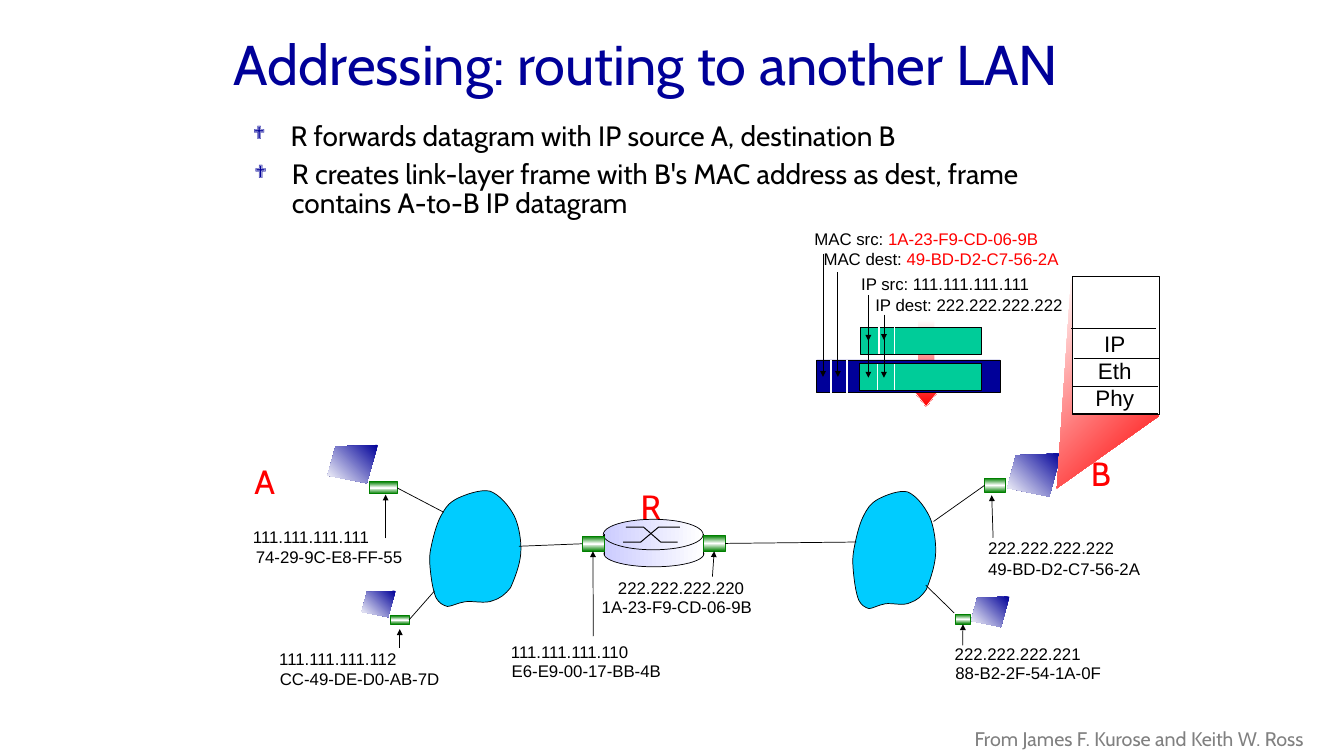
"""Build the slide on routing a datagram to another LAN."""
from collections.abc import Sequence
from dataclasses import dataclass
from typing import NamedTuple, Optional, Union

from lxml.etree import SubElement
from pptx import Presentation
from pptx.dml.color import RGBColor
from pptx.enum.shapes import MSO_CONNECTOR as Link, MSO_SHAPE as Preset
from pptx.enum.text import MSO_ANCHOR as Anchor, PP_ALIGN as Align
from pptx.oxml.ns import qn
from pptx.shapes.autoshape import Shape
from pptx.shapes.shapetree import SlideShapes
from pptx.util import Cm, Length, Pt

BLACK, WHITE, RED, NAVY = "000000", "FFFFFF", "FF0000", "000099"
GREEN, TEAL, SKY, LILAC, GREY = "008000", "00CC99", "00CCFF", "CCCCFF", "808080"


class Point(NamedTuple):
    x: float
    y: float


class Box(NamedTuple):
    x: float
    y: float
    w: float
    h: float


class Gradient(NamedTuple):
    stops: tuple[str, ...]
    angle: int


class Port(NamedTuple):
    card: Shape
    side: int


@dataclass
class Wire:
    start: Union[Point, Port]
    end: Union[Point, Port]
    arrow: bool = False
    color: str = BLACK
    width: float = 0.75


@dataclass
class Address:
    text: str
    box: Box


Fill = Union[str, Gradient, None]
TOP, LEFT, BOTTOM, RIGHT = range(4)
SCREEN = [(1, 0), (0.16, 0.04), (0, 0.8), (0.78, 1)]
CLOUD = [
    (0.31, 0.08), (0.21, 0.12), (0.18, 0.16), (0.13, 0.23), (0.08, 0.3), (0.04, 0.43),
    (0.02, 0.51), (0, 0.59), (0.01, 0.65), (0.02, 0.72), (0.03, 0.79), (0.05, 0.88),
    (0.08, 0.93), (0.11, 0.97), (0.15, 0.99), (0.2, 1), (0.24, 1), (0.31, 0.97),
    (0.39, 0.96), (0.47, 0.95), (0.61, 0.98), (0.69, 0.95), (0.77, 0.93), (0.82, 0.9),
    (0.88, 0.84), (0.92, 0.77), (0.98, 0.65), (0.99, 0.55), (1, 0.45), (0.97, 0.31),
    (0.92, 0.23), (0.86, 0.14), (0.76, 0.05), (0.66, 0.02), (0.56, 0), (0.39, 0.05),
    (0.31, 0.08)]
ADDRESSES = [
    Address("222.222.222.220", Box(8.62, 8.1, 2, 0.39)),
    Address("1A-23-F9-CD-06-9B", Box(8.39, 8.37, 2.34, 0.39)),
    Address("111.111.111.110", Box(7.11, 9.01, 1.88, 0.39)),
    Address("E6-E9-00-17-BB-4B", Box(7.12, 9.28, 2.33, 0.39)),
    Address("111.111.111.112", Box(3.84, 9.11, 1.88, 0.39)),
    Address("CC-49-DE-D0-AB-7D", Box(3.85, 9.39, 2.48, 0.39)),
    Address("111.111.111.111", Box(3.47, 7.38, 1.86, 0.39)),
    Address("74-29-9C-E8-FF-55", Box(3.51, 7.66, 2.29, 0.39)),
    Address("222.222.222.222", Box(13.84, 7.54, 2, 0.39)),
    Address("49-BD-D2-C7-56-2A", Box(13.84, 7.83, 2.37, 0.39)),
    Address("222.222.222.221", Box(13.37, 9.04, 2, 0.39)),
    Address("88-B2-2F-54-1A-0F", Box(13.38, 9.31, 2.27, 0.39))]


def inch(value: float) -> Length:
    return Cm(value * 2.54)


def color_of(code: str) -> RGBColor:
    return RGBColor.from_string(code)


def paint(shape: Shape, fill: Fill, line: Optional[str], width: float) -> Shape:
    shape.shadow.inherit = False
    shape.fill.background()
    if isinstance(fill, str):
        shape.fill.solid()
        shape.fill.fore_color.rgb = color_of(fill)
    elif fill:
        blank = shape._element.spPr.find(qn("a:noFill"))
        blank.tag = qn("a:gradFill")
        blank.set("rotWithShape", "1")
        stops = SubElement(blank, qn("a:gsLst"))
        for index, code in enumerate(fill.stops):
            stop = SubElement(stops, qn("a:gs"), pos=str(index * 100000 // (len(fill.stops) - 1)))
            SubElement(stop, qn("a:srgbClr"), val=code)
        SubElement(blank, qn("a:lin"), ang=str(fill.angle * 60000), scaled="0")
    if line:
        shape.line.color.rgb = color_of(line)
        shape.line.width = Pt(width)
    else:
        shape.line.fill.background()
    return shape


def block(shapes: SlideShapes, preset: Preset, box: Box, fill: Fill, line: Optional[str] = BLACK) -> Shape:
    return paint(shapes.add_shape(preset, *map(inch, box)), fill, line, 0.75)


def outline(shapes: SlideShapes, points: Sequence[tuple[float, float]], fill: Fill,
            line: Optional[str] = None, width: float = 0.75, close: bool = True) -> Shape:
    start, *rest = [(inch(x), inch(y)) for x, y in points]
    builder = shapes.build_freeform(*start)
    builder.add_line_segments(rest, close=close)
    return paint(builder.convert_to_shape(), fill, line, width)


def fit(points: Sequence[tuple[float, float]], box: Box) -> list[Point]:
    return [Point(box.x + x * box.w, box.y + y * box.h) for x, y in points]


def bend(shape: Shape) -> None:
    segments = list(shape._element.iter(qn("a:lnTo")))
    for curve, *others in zip(segments[::3], segments[1::3], segments[2::3]):
        curve.tag = qn("a:cubicBezTo")
        for other in others:
            curve.append(other[0])
            other.getparent().remove(other)


def connect(shapes: SlideShapes, wire: Wire) -> None:
    ends = [Point(0, 0) if isinstance(end, Port) else end for end in (wire.start, wire.end)]
    cable = shapes.add_connector(Link.STRAIGHT, *[inch(value) for end in ends for value in end])
    if isinstance(wire.start, Port):
        cable.begin_connect(*wire.start)
    if isinstance(wire.end, Port):
        cable.end_connect(*wire.end)
    cable.line.color.rgb = color_of(wire.color)
    cable.line.width = Pt(wire.width)
    properties = cable._element.spPr
    if wire.arrow:
        SubElement(properties.find(qn("a:ln")), qn("a:tailEnd"), type="triangle")
    SubElement(properties, qn("a:effectLst"))


def write(shapes: SlideShapes, text: str, box: Box, *, size: float = 17.1, font: str = "Arial",
          color: str = BLACK, value_color: Optional[str] = None, align: Align = Align.LEFT,
          anchor: Anchor = Anchor.TOP, second_indent: float = 0, bullet: Optional[str] = None) -> None:
    frame = shapes.add_textbox(*map(inch, box)).text_frame
    frame.word_wrap = True
    frame.vertical_anchor = anchor
    for index, line in enumerate(text.split("\n")):
        paragraph = frame.add_paragraph() if index else frame.paragraphs[0]
        properties = paragraph._p.get_or_add_pPr()
        if bullet:
            properties.set("marL", str(inch(0.53)))
            properties.set("indent", str(-inch(0.53)))
            SubElement(SubElement(properties, qn("a:buClr")), qn("a:srgbClr"), val=NAVY)
            SubElement(properties, qn("a:buSzPct"), val="65000")
            SubElement(properties, qn("a:buFont"), typeface="Wingdings")
            SubElement(properties, qn("a:buChar"), char=bullet)
            paragraph.line_spacing = 0.85
        if index and second_indent:
            properties.set("marL", str(inch(second_indent)))
        paragraph.alignment = align
        label, colon, value = line.partition(": ") if value_color else (line, "", "")
        for words, code in ((label + colon, color), (value, value_color)):
            if words:
                run = paragraph.add_run()
                run.text = words
                run.font.size, run.font.name = Pt(size), font
                run.font.color.rgb = color_of(code)


def draw_network(shapes: SlideShapes) -> None:
    for box in (Box(6.05, 6.9, 1.31, 1.66), Box(12.02, 6.91, 1.19, 1.68)):
        bend(outline(shapes, fit(CLOUD, box), SKY, BLACK))
    for letter, box in (("R", Box(8.94, 6.81, 0.49, 0.68)), ("A", Box(3.49, 6.46, 0.52, 0.68)),
                        ("B", Box(15.29, 6.34, 0.47, 0.68))):
        write(shapes, letter, box, size=34.1, font="Cabin", color=RED)
    metal = Gradient((LILAC, WHITE), 0)
    block(shapes, Preset.OVAL, Box(8.52, 7.63, 1.41, 0.37), metal)
    block(shapes, Preset.RECTANGLE, Box(8.52, 7.58, 1.42, 0.23), metal, None)
    block(shapes, Preset.OVAL, Box(8.51, 7.33, 1.41, 0.43), metal)
    for crossing in ([(8.79, 7.65), (9.04, 7.65), (9.29, 7.44), (9.59, 7.44)],
                     [(8.83, 7.44), (9.08, 7.44), (9.32, 7.65), (9.56, 7.65)]):
        outline(shapes, crossing, None, BLACK, 1, close=False)
    for x in (8.52, 9.92):
        connect(shapes, Wire(Point(x, 7.54), Point(x, 7.83)))
    card_boxes = (Box(5.21, 6.8, 0.39, 0.17), Box(5.51, 8.69, 0.26, 0.12), Box(8.21, 7.57, 0.31, 0.21),
                  Box(9.92, 7.56, 0.31, 0.22), Box(13.89, 6.75, 0.3, 0.2), Box(13.48, 8.67, 0.21, 0.14))
    host_a, host_a2, router_west, router_east, host_b, host_b2 = [
        block(shapes, Preset.RECTANGLE, box, Gradient((GREEN, WHITE, GREEN), 90), GREEN) for box in card_boxes]
    for box in (Box(4.62, 6.28, 0.71, 0.54), Box(5.1, 8.34, 0.48, 0.37),
                Box(14.21, 6.4, 0.76, 0.61), Box(13.7, 8.42, 0.54, 0.43)):
        outline(shapes, fit(SCREEN, box), Gradient((NAVY, WHITE), 135))
    for wire in (
            Wire(Port(host_a, RIGHT), Point(6.26, 7.23)), Wire(Port(host_a2, RIGHT), Point(6.13, 8.34)),
            Wire(Point(7.32, 7.71), Port(router_west, LEFT)), Wire(Port(router_east, RIGHT), Point(12.08, 7.65)),
            Wire(Point(13.17, 7.36), Port(host_b, LEFT)), Wire(Point(13.46, 8.65), Point(13.06, 8.26)),
            Wire(Point(5.44, 7.6), Point(5.44, 6.98), True), Wire(Point(5.64, 9.14), Point(5.64, 8.88), True),
            Wire(Point(8.37, 8.98), Port(router_west, BOTTOM), True),
            Wire(Point(10.05, 8.14), Port(router_east, BOTTOM), True),
            Wire(Point(14.01, 7.59), Point(13.99, 6.99), True),
            Wire(Point(13.58, 9.11), Port(host_b2, BOTTOM), True)):
        connect(shapes, wire)
    for address in ADDRESSES:
        write(shapes, address.text, address.box)


def draw_frame(shapes: SlideShapes) -> None:
    arrow = block(shapes, Preset.DOWN_ARROW, Box(12.82, 4.51, 0.49, 1.23), Gradient((WHITE, RED), 90), WHITE)
    arrow.adjustments[0], arrow.adjustments[1] = 0.5, 0.63
    for box, fill in ((Box(12.14, 4.62, 1.71, 0.38), TEAL), (Box(11.52, 5.08, 2.59, 0.46), NAVY),
                      (Box(12.13, 5.13, 1.71, 0.38), TEAL)):
        block(shapes, Preset.RECTANGLE, box, fill)
    for top, bottom, fields in ((4.62, 5, (12.4, 12.62)), (5.14, 5.51, (12.38, 12.62)), (5.08, 5.55, (11.72, 11.95))):
        for x in fields:
            connect(shapes, Wire(Point(x, top), Point(x, bottom), color=WHITE, width=1.5))
    write(shapes, "IP src: 111.111.111.111\nIP dest: 222.222.222.222", Box(12.05, 3.82, 3.07, 0.68), second_indent=0.2)
    write(shapes, "MAC src: 1A-23-F9-CD-06-9B\nMAC dest: 49-BD-D2-C7-56-2A", Box(11.39, 3.18, 3.69, 0.96),
          value_color=RED, second_indent=0.13)
    for x, top, bottom in ((12.25, 4.21, 4.81), (12.47, 4.49, 4.8), (11.61, 3.58, 5.32),
                           (11.82, 3.84, 5.32), (12.25, 4.17, 5.33), (12.47, 4.44, 5.33)):
        connect(shapes, Wire(Point(x, top), Point(x, bottom), True))


def draw_stack(shapes: SlideShapes) -> None:
    outline(shapes, [(16.35, 5.87), (14.91, 6.89), (15.11, 3.94)], Gradient((WHITE, RED), 45))
    block(shapes, Preset.RECTANGLE, Box(15.13, 3.9, 1.22, 1.95), WHITE)
    write(shapes, "IP\nEth\nPhy", Box(15.35, 3.84, 0.75, 2.01), size=22.8, align=Align.CENTER, anchor=Anchor.BOTTOM)
    for left, y in ((15.11, 4.64), (15.15, 5.06), (15.14, 5.45), (15.13, 5.84)):
        connect(shapes, Wire(Point(left, y), Point(left + 1.2, y)))


def main() -> None:
    deck = Presentation()
    deck.slide_width, deck.slide_height = inch(18.96), inch(10.67)
    shapes = deck.slides.add_slide(deck.slide_layouts[6]).shapes
    draw_network(shapes)
    write(shapes, "Addressing: routing to another LAN", Box(3.2, 0, 12.44, 1.78), size=56.9,
          font="Cabin", color=NAVY, anchor=Anchor.MIDDLE)
    for step, box in (
            ("R forwards datagram with IP source A, destination B", Box(3.47, 1.69, 12.09, 0.86)),
            ("R creates link-layer frame with B's MAC address as dest, frame contains A-to-B IP datagram",
             Box(3.49, 2.24, 12.09, 1.12))):
        write(shapes, step, box, size=28.4, font="Cabin", bullet="❖")
    draw_frame(shapes)
    draw_stack(shapes)
    write(shapes, "From James F. Kurose and Keith W. Ross", Box(13.1, 10.18, 5.94, 0.49), size=20,
          font="Cabin", color=GREY, align=Align.CENTER, anchor=Anchor.MIDDLE)
    deck.save("out.pptx")


if __name__ == "__main__":
    main()
